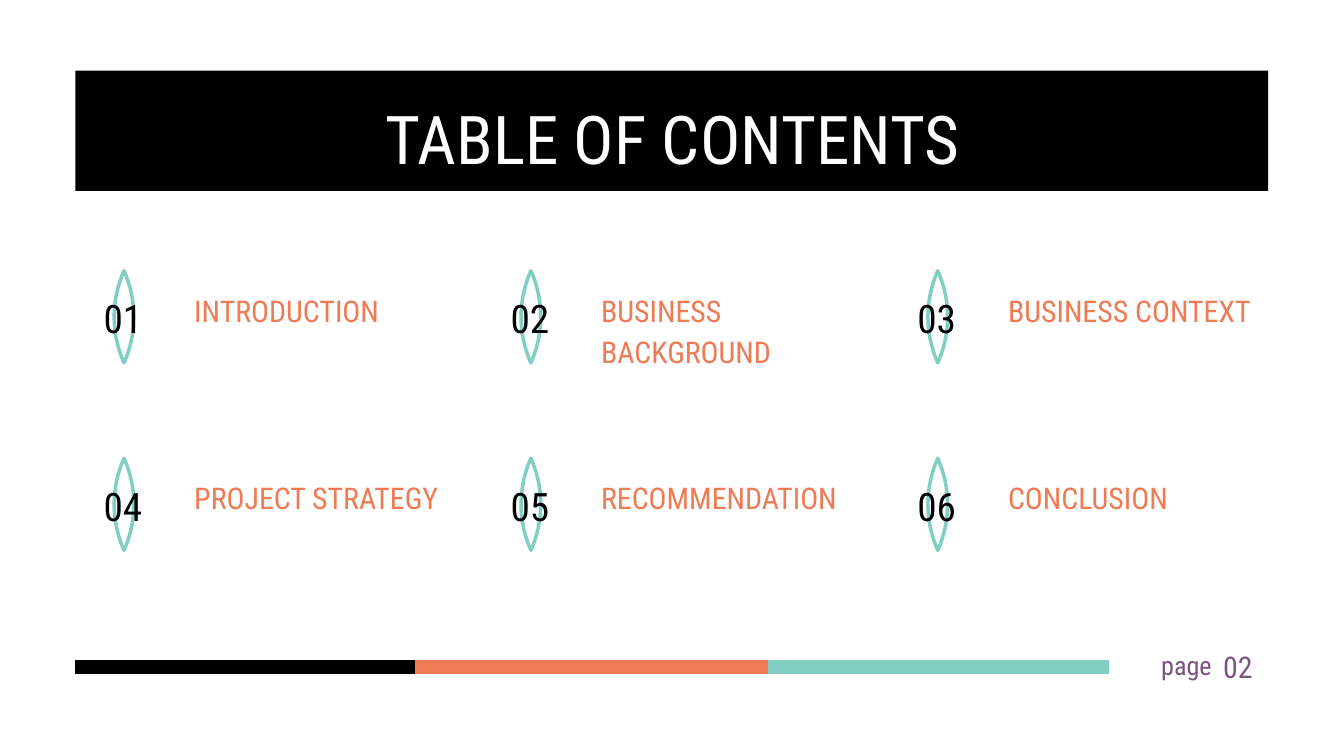
from dataclasses import dataclass

from lxml import etree
from pptx import Presentation
from pptx.dml.color import RGBColor
from pptx.enum import shapes, text
from pptx.oxml.ns import qn
from pptx.util import Inches, Pt


@dataclass(frozen=True)
class Theme:
    """Colours, font and type sizes of the deck."""
    black: RGBColor = RGBColor(0x00, 0x00, 0x00)
    white: RGBColor = RGBColor(0xFF, 0xFF, 0xFF)
    coral: RGBColor = RGBColor(0xEF, 0x7B, 0x54)
    mint: RGBColor = RGBColor(0x81, 0xCF, 0xC2)
    purple: RGBColor = RGBColor(0x7A, 0x54, 0x7E)
    font: str = "Roboto Condensed"
    title: int = 72
    number: int = 42
    label: int = 32
    page: int = 28
    leading: float = 1.4


THEME = Theme()
ENTRIES = ["INTRODUCTION", "BUSINESS BACKGROUND", "BUSINESS CONTEXT",
           "PROJECT STRATEGY", "RECOMMENDATION", "CONCLUSION"]
COLUMNS = 3


def add_text(s, content, left, top, width, height, size, color, align=text.PP_ALIGN.LEFT):
    """Add a text box without insets, in one style."""
    box = s.shapes.add_textbox(Inches(left), Inches(top), Inches(width), Inches(height))
    tf = box.text_frame
    tf.word_wrap = True
    tf.auto_size = text.MSO_AUTO_SIZE.SHAPE_TO_FIT_TEXT
    tf.margin_left = tf.margin_right = tf.margin_top = tf.margin_bottom = 0
    p = tf.paragraphs[0]
    p.text = content
    p.alignment = align
    p.line_spacing = Pt(size * THEME.leading)
    p.font.name = THEME.font
    p.font.size = Pt(size)
    p.font.color.rgb = color


def add_title(s, left, top, width, height):
    """Add the black banner with the centred title."""
    sp = s.shapes.add_shape(shapes.MSO_SHAPE.RECTANGLE, Inches(left), Inches(top),
                            Inches(width), Inches(height))
    sp.shadow.inherit = False
    sp.fill.solid()
    sp.fill.fore_color.rgb = THEME.black
    sp.line.fill.background()
    add_text(s, "TABLE OF CONTENTS", left + 3.67, top + 0.2, 10.44, 1.35,
             THEME.title, THEME.white, text.PP_ALIGN.CENTER)


def curve_outline(sp):
    """Turn each three straight segments of a freeform into one cubic curve."""
    segments = list(sp._element.iter(qn("a:lnTo")))
    for i in range(0, len(segments), 3):
        curve = etree.Element(qn("a:cubicBezTo"))
        segments[i].addprevious(curve)
        for segment in segments[i:i + 3]:
            curve.append(segment[0])
            segment.getparent().remove(segment)


def add_lens(s, left, top, width, height):
    """Add a pointed oval outline made of two mirrored curves."""
    center, right, bottom = left + width / 2, left + width, top + height
    upper, lower = top + 0.32 * height, bottom - 0.32 * height
    points = [(center, top), (right, upper), (right, lower), (center, bottom),
              (left, lower), (left, upper), (center, top)]
    start, *rest = [(Inches(x), Inches(y)) for x, y in points]
    builder = s.shapes.build_freeform(*start)
    builder.add_line_segments(rest, close=True)
    sp = builder.convert_to_shape()
    curve_outline(sp)
    sp.shadow.inherit = False
    sp.fill.background()
    sp.line.color.rgb = THEME.mint
    sp.line.width = Pt(3.75)


def add_entry(s, number, label, left, top):
    """Add one numbered entry of the contents."""
    add_lens(s, left + 0.33, top, 0.39, 1.37)
    add_text(s, label, left + 1.57, top + 0.23, 3.81, 0.59, THEME.label, THEME.coral)
    add_text(s, f"{number:02}", left, top + 0.24, 1.02, 0.79,
             THEME.number, THEME.black, text.PP_ALIGN.CENTER)


def add_contents(s, left, top, column_step, row_step):
    """Lay the entries out in a grid, row by row."""
    for i, label in enumerate(ENTRIES):
        row, column = divmod(i, COLUMNS)
        add_entry(s, i + 1, label, left + column * column_step, top + row * row_step)


def add_footer(s, left, middle):
    """Add the three-colour rule and the page number."""
    x = left
    for length, color in ((5.05, THEME.black), (5.26, THEME.coral), (5.08, THEME.mint)):
        line = s.shapes.add_connector(shapes.MSO_CONNECTOR.STRAIGHT, Inches(x),
                                      Inches(middle), Inches(x + length), Inches(middle))
        line.line.color.rgb = color
        line.line.width = Pt(15)
        etree.SubElement(line._element.spPr, qn("a:effectLst"))
        x += length
    add_text(s, "page", left + 16.16, middle - 0.34, 1.6, 0.55, THEME.page, THEME.purple)
    add_text(s, "02", left + 16.85, middle - 0.35, 0.9, 0.61,
             THEME.label, THEME.purple, text.PP_ALIGN.CENTER)


def main():
    """Build the contents slide and save it."""
    prs = Presentation()
    prs.slide_width, prs.slide_height = Inches(20), Inches(11.25)
    s = prs.slides.add_slide(prs.slide_layouts[6])
    add_title(s, 1.12, 1.05, 17.75, 1.79)
    add_contents(s, 1.32, 4.03, 12.11 / 2, 2.79)
    add_footer(s, 1.12, 9.92)
    prs.save("out.pptx")


if __name__ == "__main__":
    main()
